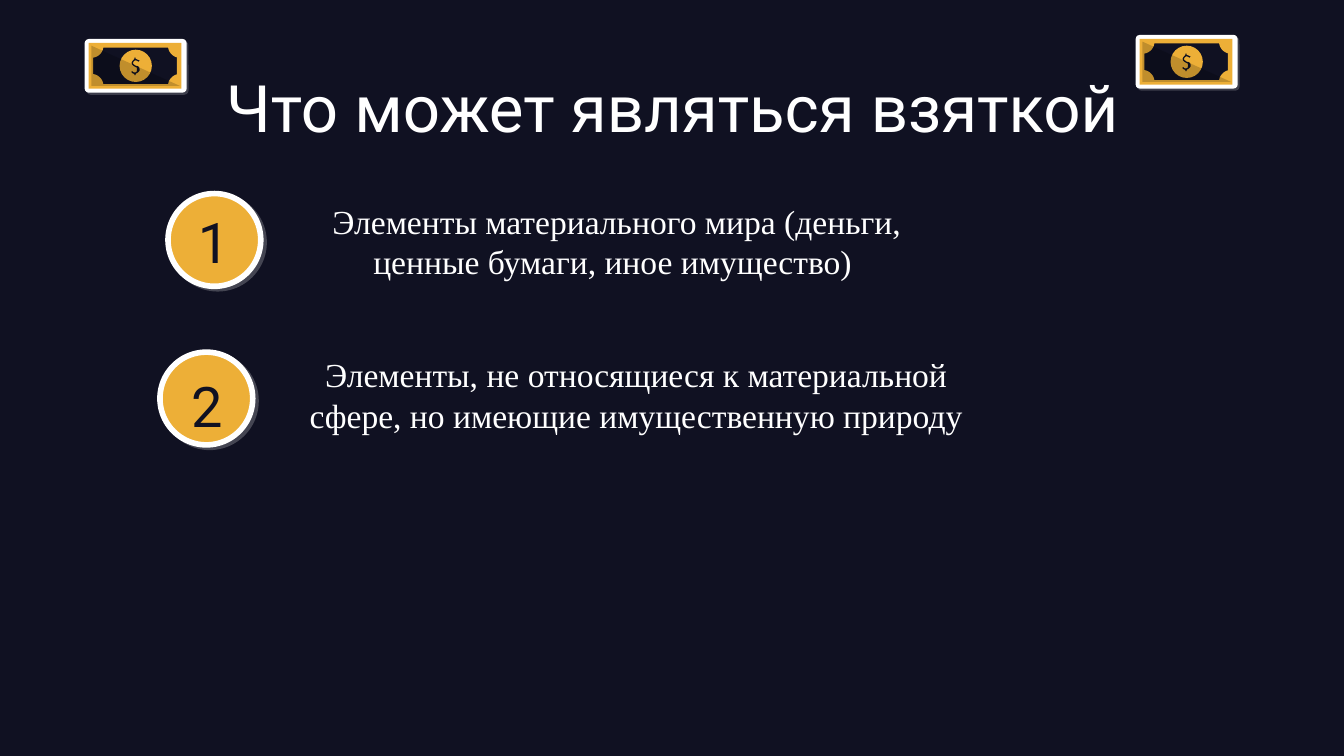
import math

import pptx
import pptx.util
import pptx.dml.color
import pptx.enum.shapes
import pptx.enum.text
import pptx.oxml
import pptx.oxml.ns
from lxml import etree

Inches = pptx.util.Inches
Kind = pptx.enum.shapes.MSO_SHAPE

THEME = {
    "dark": "101122", "gold": "EDAF37", "white": "FFFFFF", "black": "000000",
    "head": "Roboto", "body": "Times New Roman",
    "title": 35, "number": 30, "text": 18,
}

TITLE = ("Что может являться взяткой", (0.79, 0.48, 8.43, 0.63))
# number, its box, circle, text, text box
ITEMS = [
    ("1", (1.1, 1.6, 0.98, 0.39), (1.25, 1.44, 0.69, 0.69),
     "Элементы материального мира (деньги, ценные бумаги, иное имущество) ",
     (2.08, 1.48, 5.02, 0.63)),
    ("2", (1.05, 2.82, 0.98, 0.39), (1.19, 2.62, 0.69, 0.69),
     "Элементы, не относящиеся к материальной сфере, но имеющие имущественную природу",
     (2.17, 2.62, 5.13, 0.63)),
]
BILLS = [(0.63, 0.29), (8.45, 0.26)]
# dollar sign, from the corner of the bill: one point is a line, three a curve
DOLLAR = [
    [(0.37, 0.14)], [(0.37, 0.15)],
    [(0.36, 0.16), (0.35, 0.17), (0.35, 0.18)],
    [(0.35, 0.19), (0.36, 0.2), (0.38, 0.21)],
    [(0.39, 0.21), (0.39, 0.22), (0.39, 0.23)],
    [(0.39, 0.24), (0.39, 0.25), (0.37, 0.25)],
    [(0.36, 0.25), (0.36, 0.24), (0.35, 0.24)],
    [(0.35, 0.25)],
    [(0.35, 0.25), (0.36, 0.26), (0.37, 0.26)],
    [(0.37, 0.27)], [(0.38, 0.27)], [(0.38, 0.26)],
    [(0.4, 0.25), (0.41, 0.24), (0.41, 0.23)],
    [(0.41, 0.21), (0.4, 0.2), (0.38, 0.2)],
    [(0.37, 0.19), (0.36, 0.19), (0.36, 0.18)],
    [(0.36, 0.17), (0.37, 0.16), (0.38, 0.16)],
    [(0.39, 0.16), (0.4, 0.17), (0.4, 0.17)],
    [(0.41, 0.16)],
    [(0.4, 0.16), (0.39, 0.15), (0.38, 0.15)],
    [(0.38, 0.14)],
]


def rgb(name):
    return pptx.dml.color.RGBColor.from_string(THEME[name])


def place(shape, box):
    shape.left, shape.top, shape.width, shape.height = map(Inches, box)


def paint(shape, color):
    shape.fill.solid()
    shape.fill.fore_color.rgb = rgb(color)
    shape.line.fill.background()
    shape.shadow.inherit = False
    return shape


def draw(shapes, kind, box, color):
    return paint(shapes.add_shape(kind, *map(Inches, box)), color)


def outline(shapes, points, color):
    points = [(Inches(x), Inches(y)) for x, y in points]
    pen = shapes.build_freeform(*points[0])
    pen.add_line_segments(points[1:])
    return paint(pen.convert_to_shape(), color)


def flatten(parts, steps=5):
    """Turn lines and cubic curves into a list of points."""
    points = []
    for part in parts:
        if len(part) == 1:
            points += part
            continue
        knots = [points[-1]] + part
        for step in range(1, steps + 1):
            t = step / steps
            mix = [math.comb(3, k) * t ** k * (1 - t) ** (3 - k) for k in range(4)]
            points.append(tuple(
                sum(m * knot[axis] for m, knot in zip(mix, knots))
                for axis in (0, 1)))
    return points


def add_alpha(color, percent):
    tag = pptx.oxml.ns.qn("a:alpha")
    etree.SubElement(color, tag, val=str(percent * 1000))


def cast(shape, alpha, dist, angle):
    """Give the shape a hard white shadow."""
    qn = pptx.oxml.ns.qn
    effects = shape._element.spPr.find(qn("a:effectLst"))
    outer = etree.SubElement(
        effects, qn("a:outerShdw"), blurRad="0",
        dist=str(int(pptx.util.Pt(dist))), dir=str(angle * 60000),
        algn="bl", rotWithShape="0")
    add_alpha(etree.SubElement(outer, qn("a:srgbClr"), val=THEME["white"]), alpha)


def write(shape, text, size, font, color):
    frame = shape.text_frame
    frame.text = text
    frame.word_wrap = True
    frame.auto_size = pptx.enum.text.MSO_AUTO_SIZE.NONE
    frame.vertical_anchor = pptx.enum.text.MSO_ANCHOR.MIDDLE
    frame.margin_left = frame.margin_right = Inches(0.1)
    frame.margin_top = frame.margin_bottom = Inches(0.1)
    para = frame.paragraphs[0]
    para.alignment = pptx.enum.text.PP_ALIGN.CENTER
    para.space_before = pptx.util.Pt(0)
    para.font.size = pptx.util.Pt(THEME[size])
    para.font.name = THEME[font]
    para.font.color.rgb = rgb(color)
    return para


def strip_bullet(para):
    props = para._p.get_or_add_pPr()
    props.set("marL", "0")
    props.set("indent", "0")
    none = pptx.oxml.parse_xml("<a:buNone %s/>" % pptx.oxml.ns.nsdecls("a"))
    props.find(pptx.oxml.ns.qn("a:spcBef")).addnext(none)


def add_bill(slide, left, top):
    shapes = slide.shapes.add_group_shape().shapes

    def part(kind, x, y, wide, high, color):
        return draw(shapes, kind, (left + x, top + y, wide, high), color)

    card = part(Kind.ROUNDED_RECTANGLE, 0, 0, 0.76, 0.4, "white")
    card.adjustments[0] = 0.08
    cast(card, 19, 1.5, 50)

    x, y, wide, high, radius = 0.05, 0.05, 0.66, 0.3, 0.09
    part(Kind.RECTANGLE, x, y, wide, high, "dark")
    rim = part(Kind.FRAME, 0.03, 0.03, 0.69, 0.34, "gold")
    rim.adjustments[0] = 0.1

    corners = [(x, y), (x + wide, y), (x + wide, y + high), (x, y + high)]
    for turn, (cx, cy) in enumerate(corners):
        cx, cy = left + cx, top + cy
        arc = [math.radians(90 * turn + step) for step in range(0, 91, 10)]
        edge = [(cx + radius * math.cos(a), cy + radius * math.sin(a)) for a in arc]
        outline(shapes, [(cx, cy)] + edge, "gold")

    part(Kind.OVAL, 0.26, 0.08, 0.24, 0.24, "gold")
    outline(shapes, [(left + dx, top + dy) for dx, dy in flatten(DOLLAR)], "dark")
    shade = part(Kind.RIGHT_TRIANGLE, x, y, wide, high, "black")
    tag = pptx.oxml.ns.qn("a:srgbClr")
    add_alpha(next(shade._element.spPr.iter(tag)), 19)


def main():
    deck = pptx.Presentation()
    deck.slide_width = Inches(10)
    deck.slide_height = deck.slide_width * 9 // 16
    slide = deck.slides.add_slide(deck.slide_layouts.get_by_name("Two Content"))
    slide.background.fill.solid()
    slide.background.fill.fore_color.rgb = rgb("dark")

    text, box = TITLE
    head, *bodies = list(slide.placeholders)[:3]
    place(head, box)
    write(head, text, "title", "head", "white")

    for body, (number, spot, ring, text, box) in zip(bodies, ITEMS):
        place(body, box)
        strip_bullet(write(body, text, "text", "body", "white"))
        disc = draw(slide.shapes, Kind.OVAL, ring, "gold")
        disc.line.color.rgb = rgb("white")
        disc.line.width = pptx.util.Pt(3)
        cast(disc, 21, 2.2, 37)
        label = slide.shapes.add_textbox(*map(Inches, spot))
        write(label, number, "number", "head", "dark")

    for left, top in BILLS:
        add_bill(slide, left, top)

    deck.save("out.pptx")


if __name__ == "__main__":
    main()
